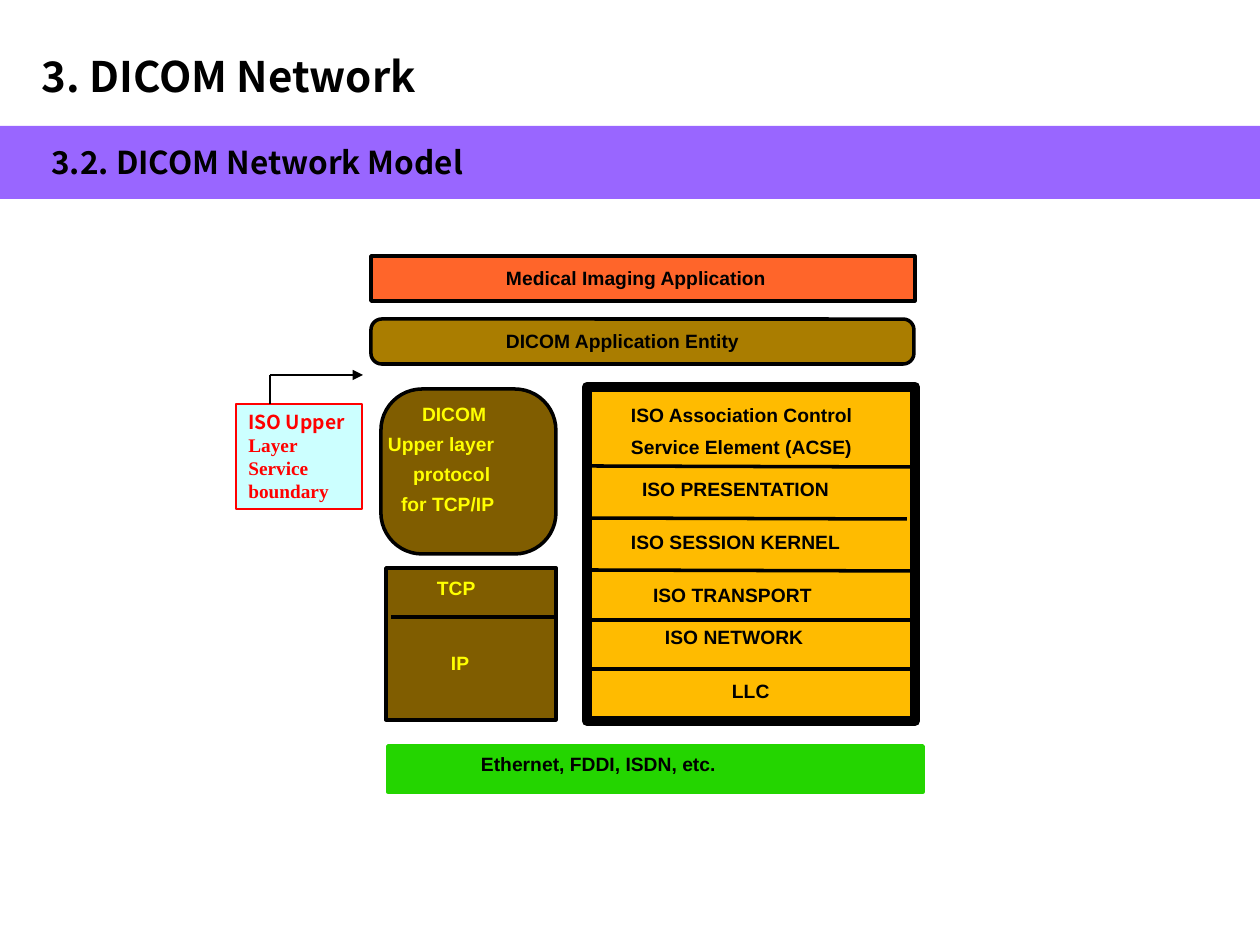
from dataclasses import dataclass

from lxml.etree import SubElement
from pptx import Presentation
from pptx.dml.color import RGBColor
from pptx.enum.shapes import MSO_CONNECTOR as CONN, MSO_SHAPE as SHAPE
from pptx.enum.text import MSO_ANCHOR as ANCHOR, PP_ALIGN as ALIGN
from pptx.oxml.ns import qn
from pptx.util import Emu, Pt


@dataclass(frozen=True)
class Theme:
    black: str = "000000"
    yellow: str = "FFFF00"
    red: str = "FF0000"
    violet: str = "9966FF"
    orange: str = "FF652A"
    ochre: str = "AA7D00"
    brown: str = "805D00"
    amber: str = "FFBB00"
    green: str = "24D500"
    cyan: str = "CCFFFF"
    heading_font: str = "Noto Sans CJK KR"
    label_font: str = "Arial"
    note_font: str = "Times New Roman"
    title: int = 24
    subtitle: int = 18
    label: int = 11
    thin: float = 0.75
    medium: int = 2
    thick: int = 6


T = Theme()
PX = 914400 / 126

HEADINGS = [
    ("3. DICOM Network", (29, 44, 411, 63), T.title, False),
    ("3.2. DICOM Network Model", (39, 137, 586, 50), T.subtitle, True),
]

BAND = (0, 126, 1260, 73)
BLOCKS = [
    ((587, 387, 328, 334), T.amber, T.black, T.thick, None),
    ((386, 568, 170, 152), T.brown, T.black, T.medium, None),
    ((388, 746, 535, 46), T.green, T.green, T.medium, None),
    ((371, 319, 543, 45), T.ochre, T.black, T.medium, 0.24),
    ((371, 256, 544, 45), T.orange, T.black, T.medium, None),
    ((381, 389, 175, 165), T.brown, T.black, T.medium, 0.25),
]

DIVIDERS = [
    ((585, 466), (912, 467)),
    ((585, 518), (907, 519)),
    ((587, 570), (915, 571)),
    ((587, 620), (910, 620)),
    ((585, 669), (915, 669)),
    ((391, 617), (558, 617)),
]

LABELS = {
    T.black: [
        ("Medical Imaging Application", 506, 266, 282),
        ("DICOM Application Entity", 506, 329, 265),
        ("ISO Association Control", 631, 403, 236),
        ("Service Element (ACSE)", 631, 435, 238),
        ("ISO PRESENTATION", 642, 477, 223),
        ("ISO SESSION KERNEL", 631, 530, 241),
        ("ISO TRANSPORT", 653, 583, 184),
        ("ISO NETWORK", 665, 625, 165),
        ("LLC", 732, 679, 47),
        ("Ethernet, FDDI, ISDN, etc.", 481, 752, 261),
    ],
    T.yellow: [
        ("DICOM", 422, 402, 81),
        ("Upper layer", 388, 432, 116),
        ("protocol", 413, 462, 81),
        ("for TCP/IP", 401, 492, 108),
        ("TCP", 437, 576, 45),
        ("IP", 451, 651, 23),
    ],
}
LABEL_HEIGHT = 23

NOTE = (236, 404, 126, 105)
NOTE_TEXT = [
    ("ISO Upper", T.heading_font, ALIGN.JUSTIFY),
    ("Layer Service boundary", T.note_font, ALIGN.LEFT),
]
NOTE_CORNER, NOTE_TARGET = (270, 375), (363, 375)


def emu(values):
    return [Emu(round(v * PX)) for v in values]


def rgb(color):
    return RGBColor.from_string(color)


def add_run(p, text, font, size, color):
    r = p.add_run()
    r.text = text
    r.font.name, r.font.size, r.font.bold = font, Pt(size), True
    r.font.color.rgb = rgb(color)


def add_text(slide, text, box, font, size, color, wrap=False, inset=True):
    tf = slide.shapes.add_textbox(*emu(box)).text_frame
    tf.word_wrap = wrap
    if not inset:
        tf.margin_left = tf.margin_top = tf.margin_right = tf.margin_bottom = 0
    p = tf.paragraphs[0]
    p.alignment = ALIGN.LEFT
    add_run(p, text, font, size, color)


def add_block(slide, box, fill, line=None, width=0, radius=None):
    kind = SHAPE.RECTANGLE if radius is None else SHAPE.ROUNDED_RECTANGLE
    sp = slide.shapes.add_shape(kind, *emu(box))
    sp.shadow.inherit = False
    if radius is not None:
        sp.adjustments[0] = radius
    sp.fill.solid()
    sp.fill.fore_color.rgb = rgb(fill)
    if line:
        sp.line.color.rgb = rgb(line)
        sp.line.width = Pt(width)
    else:
        sp.line.fill.background()
    return sp


def add_line(slide, start, end, width, arrow=False):
    line = slide.shapes.add_connector(CONN.STRAIGHT, *emu(start + end))
    line.line.color.rgb = rgb(T.black)
    line.line.width = Pt(width)
    if arrow:
        SubElement(line.line._get_or_add_ln(), qn("a:tailEnd"), type="triangle")
    SubElement(line._element.spPr, qn("a:effectLst"))


def add_note(slide):
    tf = add_block(slide, NOTE, T.cyan, T.red, T.thin).text_frame
    tf.word_wrap = True
    tf.vertical_anchor = ANCHOR.TOP
    for i, (text, font, align) in enumerate(NOTE_TEXT):
        p = tf.add_paragraph() if i else tf.paragraphs[0]
        p.alignment = align
        add_run(p, text, font, T.label, T.red)
    add_line(slide, NOTE_CORNER, NOTE_TARGET, T.thin, arrow=True)
    add_line(slide, NOTE_CORNER, (NOTE_CORNER[0], NOTE[1]), T.thin)


def main():
    prs = Presentation()
    prs.slide_width, prs.slide_height = emu((1260, 945))
    slide = prs.slides.add_slide(prs.slide_layouts[6])

    add_block(slide, BAND, T.violet)
    for text, box, size, wrap in HEADINGS:
        add_text(slide, text, box, T.heading_font, size, T.black, wrap)
    for block in BLOCKS:
        add_block(slide, *block)
    for start, end in DIVIDERS:
        add_line(slide, start, end, T.medium)
    for color, labels in LABELS.items():
        for text, x, y, w in labels:
            add_text(slide, text, (x, y, w, LABEL_HEIGHT), T.label_font,
                     T.label, color, inset=False)
    add_note(slide)
    prs.save("out.pptx")


if __name__ == "__main__":
    main()
